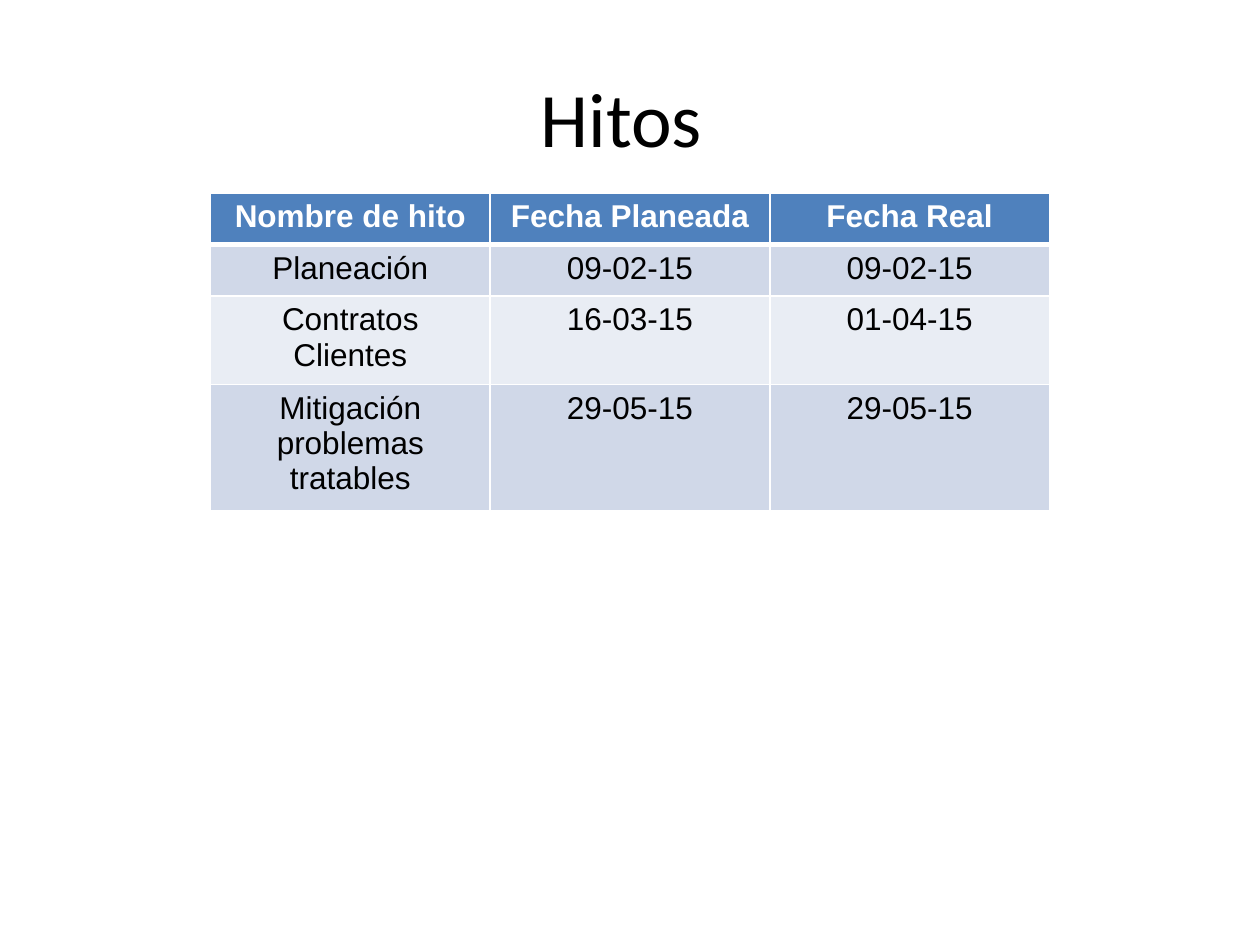
from lxml import etree
from pptx import Presentation, util as u
from pptx.dml.color import RGBColor
from pptx.enum import text
from pptx.oxml import ns

# Content
TITLE = "Hitos "
ROWS = [
    ("Nombre de hito", "Fecha Planeada", "Fecha Real"),
    ("Planeación", "09-02-15", "09-02-15"),
    ("Contratos Clientes", "16-03-15", "01-04-15"),
    ("Mitigación problemas tratables", "29-05-15", "29-05-15"),
]

# Formats
TITLE_FONT = {"name": "Calibri", "size": u.Pt(44), "bold": False}
HEADER_FONT = {"name": "Arial", "size": u.Pt(18), "bold": True}
BODY_FONT = {**HEADER_FONT, "bold": False}
HEADER_FILL, BAND_FILLS = "4F81BD", ("D0D8E8", "E9EDF4")
WHITE, BLACK = "FFFFFF", "000000"
COLUMN_WIDTH, ROW_HEIGHT = 2.22, 0.41


def color(value):
    return RGBColor.from_string(value)


def write(frame, words, font, ink):
    para = frame.paragraphs[0]
    para.alignment = text.PP_ALIGN.CENTER
    span = para.add_run()
    span.text = words
    for name, value in font.items():
        setattr(span.font, name, value)
    span.font.color.rgb = color(ink)


def add_borders(cell, widths):
    properties = cell._tc.get_or_add_tcPr()
    for side, points in widths.items():
        line = etree.SubElement(properties, ns.qn(f"a:ln{side}"), w=str(u.Pt(points)))
        fill = etree.SubElement(line, ns.qn("a:solidFill"))
        etree.SubElement(fill, ns.qn("a:srgbClr"), val=WHITE)


deck = Presentation()
deck.slide_width, deck.slide_height = u.Inches(10), u.Inches(7.5)
page = deck.slides.add_slide(deck.slide_layouts[6])

# Title
box = page.shapes.add_textbox(*map(u.Inches, (0.5, 0.3, 9, 1.25)))
box.text_frame.word_wrap = True
box.text_frame.vertical_anchor = text.MSO_ANCHOR.MIDDLE
write(box.text_frame, TITLE, TITLE_FONT, BLACK)

# Milestone table
row_count, column_count = len(ROWS), len(ROWS[0])
table = page.shapes.add_table(
    row_count, column_count, u.Inches(1.67), u.Inches(1.53),
    u.Inches(COLUMN_WIDTH * column_count), u.Inches(ROW_HEIGHT * row_count),
).table
for column in table.columns:
    column.width = u.Inches(COLUMN_WIDTH)
for r, values in enumerate(ROWS):
    table.rows[r].height = u.Inches(ROW_HEIGHT)
    header = r == 0
    for c, words in enumerate(values):
        cell = table.cell(r, c)
        add_borders(cell, {"L": 1, "R": 1, "T": 3 if r == 1 else 1, "B": 3 if header else 1})
        cell.fill.solid()
        cell.fill.fore_color.rgb = color(HEADER_FILL if header else BAND_FILLS[(r - 1) % 2])
        write(cell.text_frame, words, HEADER_FONT if header else BODY_FONT,
              WHITE if header else BLACK)

deck.save("out.pptx")
